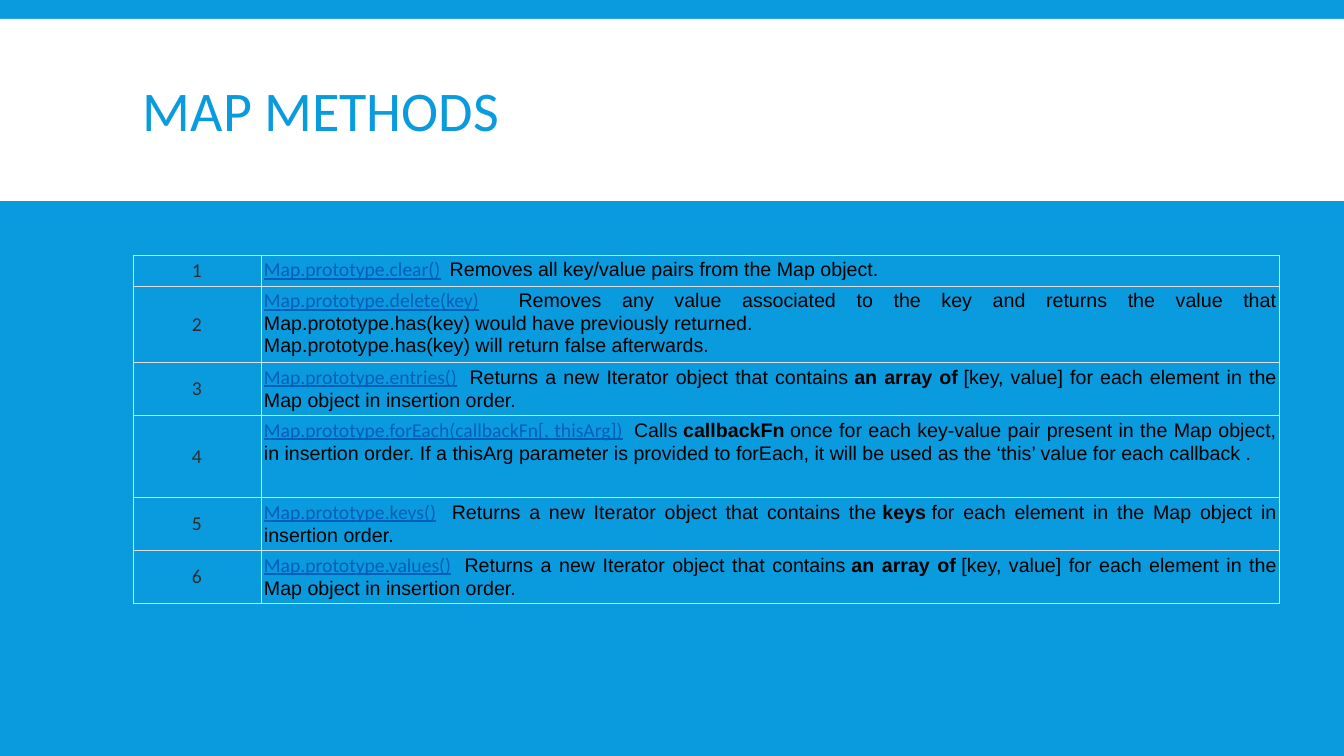
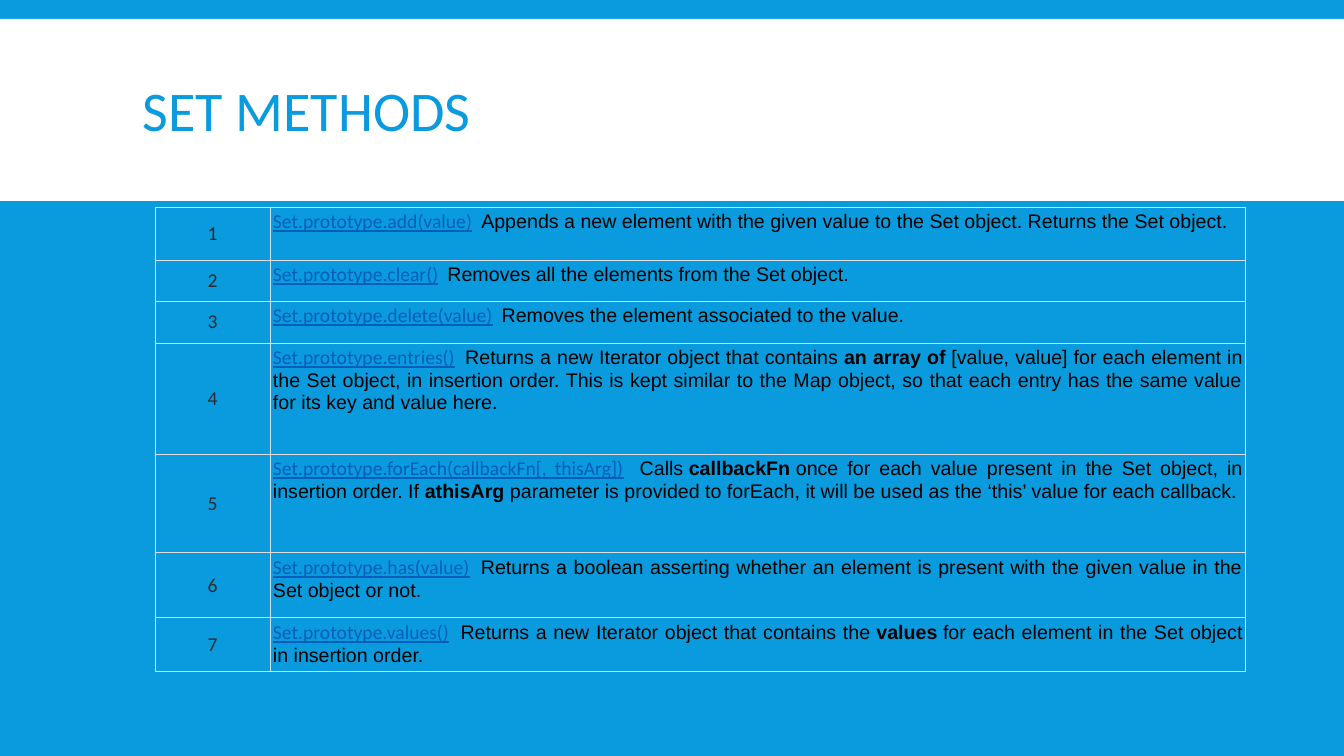
from lxml import etree
from pptx import Presentation
from pptx.dml.color import RGBColor
from pptx.enum.shapes import MSO_SHAPE
from pptx.enum.text import MSO_ANCHOR, PP_ALIGN
from pptx.oxml.ns import qn
from pptx.util import Pt

RECTANGLE = MSO_SHAPE.RECTANGLE
MIDDLE = MSO_ANCHOR.MIDDLE
TOP = MSO_ANCHOR.TOP
CENTER = PP_ALIGN.CENTER
JUSTIFY = PP_ALIGN.JUSTIFY

EMU_PER_PIXEL = 914400 / 100.8
PAGE_SIZE = (1344, 756)
BAND_BOX = (0, 19, 1344, 182)
TITLE_BOX = (133, 31, 1079, 166)
CELL_MARGIN = 3
BORDER_POINTS = 0.75
TITLE_POINTS = 40
TABLE_POINTS = 14
HEADING_FONT = "Calibri"
BODY_FONT = "Arial"
COLORS = {
    "blue": "099BDD",
    "white": "FFFFFF",
    "border": "DDDDDD",
    "number": "2C2C2C",
    "method": "005DBA",
    "text": "000000",
}

MAP_METHODS = [
    (31, "clear()", ["Removes all key/value pairs from the Map object."]),
    (75, "delete(key)", [
        "Removes any value associated to the key and returns the value that "
        "Map.prototype.has(key) would have previously returned.",
        "Map.prototype.has(key) will return false afterwards."]),
    (53, "entries()", [
        "Returns a new Iterator object that contains\u00a0*an array of*\u00a0[key, value] "
        "for each element in the Map object in insertion order."]),
    (82, "forEach(callbackFn[, thisArg])", [
        "Calls\u00a0*callbackFn*\u00a0once for each key-value pair present in the Map object, "
        "in insertion order. If a thisArg parameter is provided to forEach, "
        "it will be used as the ‘this’ value for each callback ."]),
    (53, "keys()", [
        "Returns a new Iterator object that contains the\u00a0*keys*\u00a0for each element "
        "in the Map object in insertion order."]),
    (53, "values()", [
        "Returns a new Iterator object that contains\u00a0*an array of*\u00a0[key, value] "
        "for each element in the Map object in insertion order."]),
]

SET_METHODS = [
    (53, "add(value)", [
        "Appends a new element with the given value to the Set object. "
        "Returns the Set object."]),
    (41, "clear()", ["Removes all the elements from the Set object."]),
    (42, "delete(value)", ["Removes the element associated to the value."]),
    (111, "entries()", [
        "Returns a new Iterator object that contains\u00a0*an array of*\u00a0[value, value] "
        "for each element in the Set object, in insertion order. This is kept similar "
        "to the Map object, so that each entry has the same value for its key and "
        "value here."]),
    (99, "forEach(callbackFn[, thisArg])", [
        "Calls\u00a0*callbackFn*\u00a0once for each value present in the Set object, "
        "in insertion order. If\u00a0*athisArg*\u00a0parameter is provided to forEach, "
        "it will be used as the ‘this’ value for each callback."]),
    (65, "has(value)", [
        "Returns a boolean asserting whether an element is present with the given "
        "value in the Set object or not."]),
    (53, "values()", [
        "Returns a new Iterator object that contains the\u00a0*values*\u00a0for each element "
        "in the Set object in insertion order."]),
]


def emu(pixels):
    """Turn pixels into EMU."""
    return round(pixels * EMU_PER_PIXEL)


def place(box):
    """Turn a pixel box into EMU lengths."""
    return [emu(length) for length in box]


def rgb(name):
    """Look up a named colour."""
    return RGBColor.from_string(COLORS[name])


def style_span(span, font, points, color, bold=False, underline=False):
    """Format one run."""
    span.font.name = font
    span.font.size = Pt(points)
    span.font.color.rgb = rgb(color)
    span.font.bold = bold
    span.font.underline = underline


def add_span(para, text, font, color, bold=False, underline=False):
    """Append a formatted table run to a paragraph."""
    span = para.add_run()
    span.text = text
    style_span(span, font, TABLE_POINTS, color, bold, underline)


def add_band(page, box):
    """Draw the white band behind the title."""
    band = page.shapes.add_shape(RECTANGLE, *place(box))
    band.shadow.inherit = False
    band.fill.solid()
    band.fill.fore_color.rgb = rgb("white")
    band.line.fill.background()


def add_title(page, box, title):
    """Write the slide title."""
    frame = page.shapes.add_textbox(*place(box)).text_frame
    frame.word_wrap = True
    frame.vertical_anchor = MIDDLE
    frame.text = title
    para = frame.paragraphs[0]
    para.line_spacing = 0.85
    style_span(para.runs[0], HEADING_FONT, TITLE_POINTS, "blue")


def style_cell(cell, anchor):
    """Give a cell thin borders, narrow margins and no fill."""
    properties = cell._tc.get_or_add_tcPr()
    for side in ("a:lnL", "a:lnR", "a:lnT", "a:lnB"):
        line = etree.SubElement(properties, qn(side), w=str(Pt(BORDER_POINTS)))
        fill = etree.SubElement(line, qn("a:solidFill"))
        etree.SubElement(fill, qn("a:srgbClr"), val=COLORS["border"])
    cell.fill.background()
    cell.vertical_anchor = anchor
    cell.margin_left = cell.margin_right = emu(CELL_MARGIN)
    cell.margin_top = cell.margin_bottom = emu(CELL_MARGIN)


def fill_number(cell, number):
    """Write the row number."""
    style_cell(cell, MIDDLE)
    para = cell.text_frame.paragraphs[0]
    para.alignment = CENTER
    add_span(para, str(number), HEADING_FONT, "number")


def fill_description(cell, method, lines):
    """Write the method name and its description, bold between asterisks."""
    style_cell(cell, TOP)
    frame = cell.text_frame
    para = frame.paragraphs[0]
    add_span(para, method, HEADING_FONT, "method", underline=True)
    add_span(para, "  ", HEADING_FONT, "text")
    for index, line in enumerate(lines):
        if index:
            para = frame.add_paragraph()
        para.alignment = JUSTIFY
        for part, text in enumerate(line.split("*")):
            add_span(para, text, BODY_FONT, "text", bold=part % 2 == 1)


def add_method_table(page, box, number_width, owner, methods):
    """Draw the numbered table of methods."""
    table = page.shapes.add_table(len(methods), 2, *place(box)).table
    table.first_row = False
    table.horz_banding = False
    table.columns[0].width = emu(number_width)
    table.columns[1].width = emu(box[2] - number_width)
    for index, (height, method, lines) in enumerate(methods):
        table.rows[index].height = emu(height)
        fill_number(table.cell(index, 0), index + 1)
        fill_description(table.cell(index, 1), f"{owner}.prototype.{method}", lines)


def add_method_page(deck, owner, methods, left, top, width, number_width):
    """Build one slide that lists the methods of an object."""
    page = deck.slides.add_slide(deck.slide_layouts[6])
    add_band(page, BAND_BOX)
    add_title(page, TITLE_BOX, f"{owner.upper()} METHODS")
    box = (left, top, width, sum(height for height, _, _ in methods))
    add_method_table(page, box, number_width, owner, methods)


def main():
    """Build and save the deck."""
    deck = Presentation()
    deck.slide_width, deck.slide_height = place(PAGE_SIZE)
    background = deck.slide_master.background.fill
    background.solid()
    background.fore_color.rgb = rgb("blue")
    add_method_page(deck, "Map", MAP_METHODS, 133, 255, 1147, 128)
    add_method_page(deck, "Set", SET_METHODS, 155, 207, 1091, 115)
    deck.save("out.pptx")


main()
